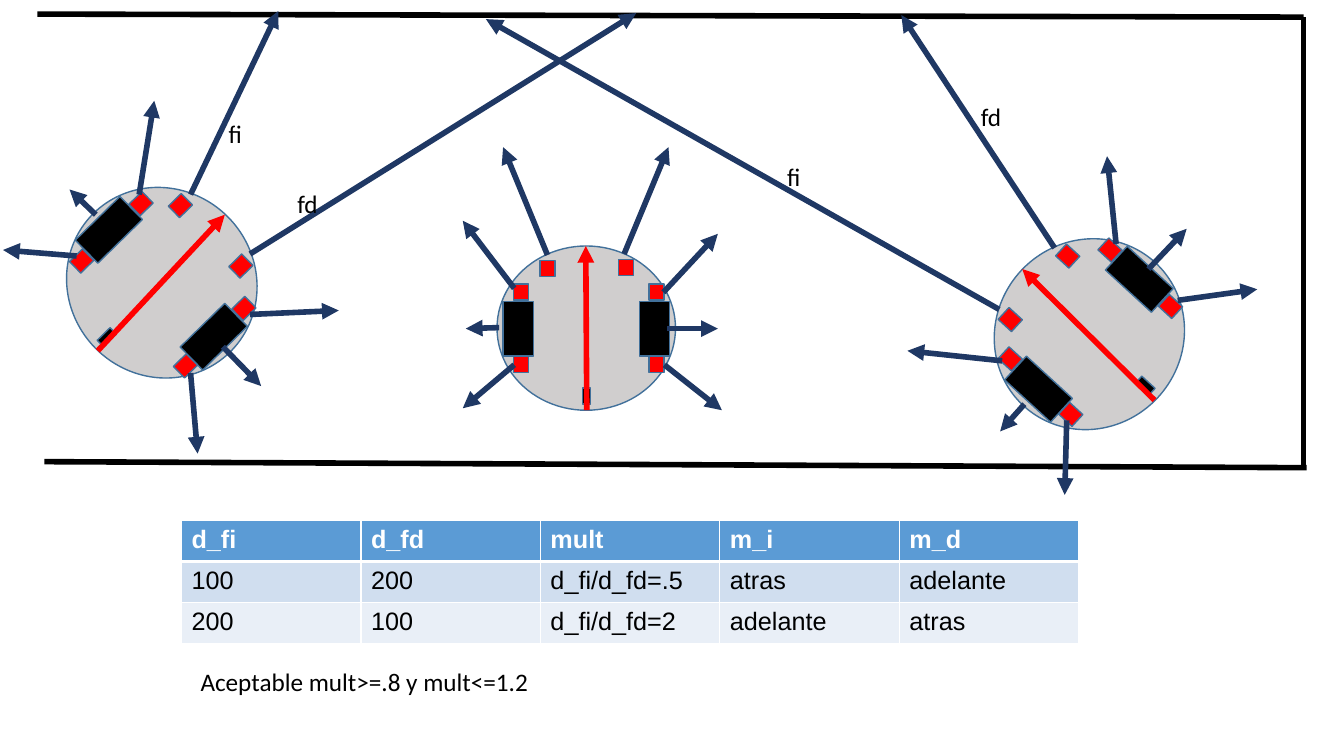
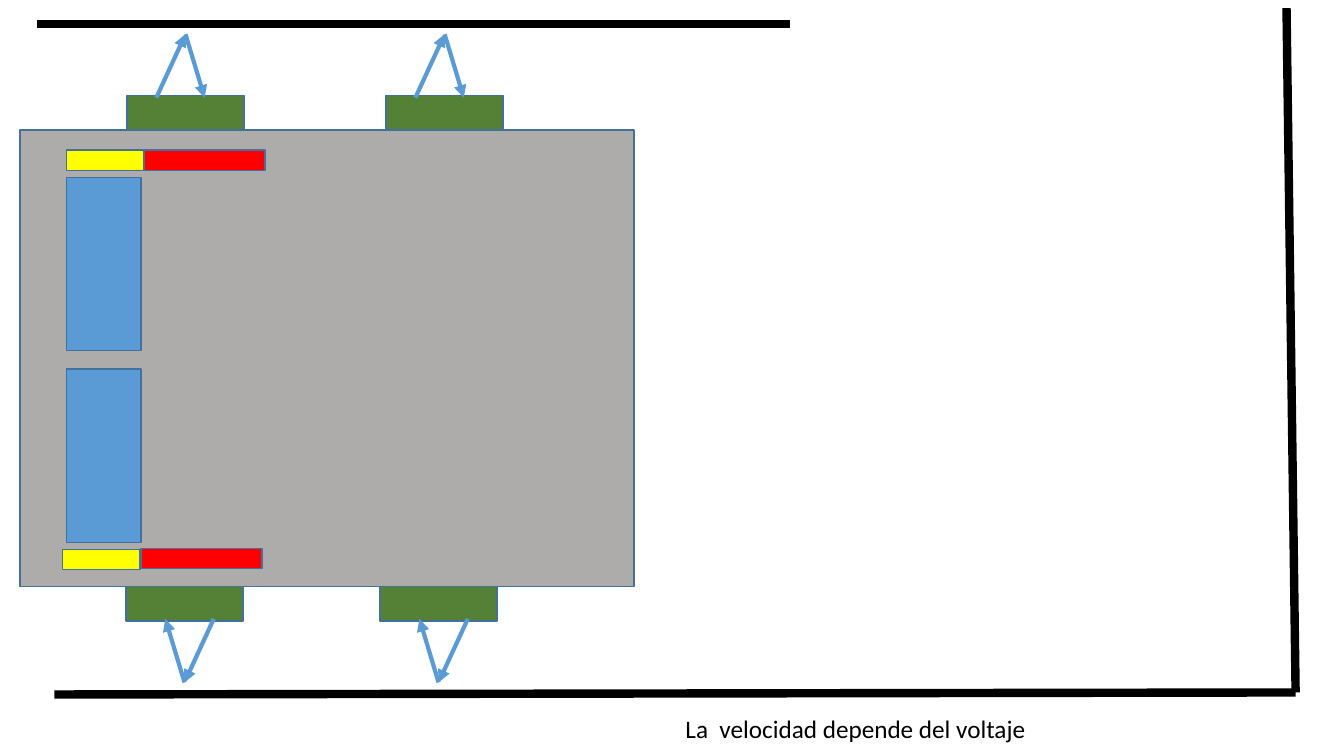
"""Builds two slides: wall-sensing robots with a decision table, and a vehicle between walls."""
from lxml import etree
from pptx import Presentation
from pptx.dml.color import RGBColor
from pptx.enum.shapes import MSO_CONNECTOR, MSO_SHAPE
from pptx.enum.text import MSO_AUTO_SIZE
from pptx.oxml.ns import qn
from pptx.util import Inches, Pt

RECTANGLE, OVAL = MSO_SHAPE.RECTANGLE, MSO_SHAPE.OVAL
STRAIGHT = MSO_CONNECTOR.STRAIGHT
FIT_TEXT = MSO_AUTO_SIZE.SHAPE_TO_FIT_TEXT
color = RGBColor.from_string

BLACK, WHITE, RED, YELLOW = "000000", "FFFFFF", "FF0000", "FFFF00"
BLUE, NAVY, OUTLINE, GREEN = "5B9BD5", "1F3864", "42719B", "548135"
LIGHT_GRAY, GRAY = "D0CECE", "AEABAB"


def draw_shape(page, kind, position, size, fill, rotation=0):
    shape = page.shapes.add_shape(kind, *map(Inches, (*position, *size)))
    shape.rotation = rotation
    shape.shadow.inherit = False
    shape.fill.solid()
    shape.fill.fore_color.rgb = color(fill)
    shape.line.color.rgb = color(OUTLINE)
    shape.line.width = Pt(1)


def draw_line(page, start, end, stroke, width, arrow=False):
    line = page.shapes.add_connector(STRAIGHT, *map(Inches, (*start, *end)))
    line.line.color.rgb = color(stroke)
    line.line.width = Pt(width)
    if arrow:
        etree.SubElement(line.line._get_or_add_ln(), qn("a:tailEnd"), type="triangle")
    etree.SubElement(line._element.spPr, qn("a:effectLst"))


deck = Presentation()
deck.slide_width, deck.slide_height = Inches(13.33), Inches(7.5)
blank_layout = deck.slide_layouts[6]
robot_page = deck.slides.add_slide(blank_layout)
vehicle_page = deck.slides.add_slide(blank_layout)

robot_walls = [
    ((0.37, 0.14), (12.93, 0.17)),
    ((0.44, 4.58), (12.96, 4.64)),
    ((12.93, 0.17), (12.93, 4.62)),
]
for start, end in robot_walls:
    draw_line(robot_page, start, end, BLACK, 4)

large = {"body": (1.85, 1.93), "wheel": (0.62, 0.32), "caster": (0.18, 0.09), "sensor": (0.18, 0.16)}
small = {"body": (1.63, 1.77), "wheel": (0.54, 0.3), "caster": (0.16, 0.08), "sensor": (0.16, 0.15)}
part_styles = {
    "body": (OVAL, LIGHT_GRAY),
    "wheel": (RECTANGLE, BLACK),
    "caster": (RECTANGLE, BLACK),
    "sensor": (RECTANGLE, RED),
}
robots = [
    {
        "rotation": 315.6,
        "sizes": large,
        "body": [(0.68, 1.84)],
        "wheel": [(0.77, 2.12), (1.81, 3.18)],
        "caster": [(0.97, 3.3)],
        "sensor": [(0.72, 2.51), (1.31, 1.94), (1.75, 3.55), (2.33, 2.98), (2.3, 2.56), (1.7, 1.96)],
        "heading": ((0.97, 3.48), (2.23, 2.13)),
        "beams": [
            ((0.95, 2.13), (0.69, 1.88)),
            ((1.89, 1.93), (2.76, 0.11)),
            ((2.21, 3.44), (2.59, 3.83)),
            ((2.48, 2.52), (6.31, 0.13)),
            ((1.38, 1.93), (1.53, 1)),
            ((0.76, 2.54), (0.03, 2.48)),
            ((2.48, 3.12), (3.36, 3.08)),
            ((1.89, 3.7), (1.96, 4.5)),
        ],
    },
    {
        "rotation": 270,
        "sizes": small,
        "body": [(5, 2.37)],
        "wheel": [(4.87, 3.11), (6.22, 3.11)],
        "caster": [(5.74, 3.89)],
        "sensor": [(5.09, 3.54), (5.09, 2.82), (6.43, 3.54), (6.43, 2.82), (6.13, 2.58), (5.35, 2.59)],
        "heading": ((5.82, 4.07), (5.81, 2.44)),
        "beams": [
            ((4.95, 3.25), (4.62, 3.26)),
            ((5.43, 2.53), (4.99, 1.46)),
            ((6.62, 3.26), (7.12, 3.26)),
            ((6.19, 2.52), (6.63, 1.46)),
            ((5.1, 2.86), (4.59, 2.19)),
            ((5.1, 3.62), (4.59, 4.05)),
            ((6.58, 2.9), (7.12, 2.32)),
            ((6.59, 3.62), (7.16, 4.07)),
        ],
    },
    {
        "rotation": 222.6,
        "sizes": large,
        "body": [(9.88, 2.35)],
        "wheel": [(9.99, 3.7), (10.99, 2.61)],
        "caster": [(11.27, 3.78)],
        "sensor": [(10.53, 4.03), (9.93, 3.48), (11.52, 2.96), (10.92, 2.4), (10.5, 2.46), (9.93, 3.09)],
        "heading": ((11.45, 3.97), (10.14, 2.67)),
        "beams": [
            ((10.16, 4.01), (9.92, 4.28)),
            ((9.91, 3.07), (4.82, 0.19)),
            ((11.39, 2.67), (11.77, 2.27)),
            ((10.46, 2.46), (8.94, 0.15)),
            ((9.94, 3.58), (9, 3.48)),
            ((10.58, 4.17), (10.56, 4.91)),
            ((11.07, 2.42), (10.98, 1.55)),
            ((11.68, 2.98), (12.47, 2.87)),
        ],
    },
]
for robot in robots:
    for part, (kind, fill) in part_styles.items():
        for position in robot[part]:
            draw_shape(robot_page, kind, position, robot["sizes"][part], fill, robot["rotation"])
    for start, end in robot["beams"]:
        draw_line(robot_page, start, end, NAVY, 4, arrow=True)
    draw_line(robot_page, *robot["heading"], RED, 4, arrow=True)

decision_rows = [
    ["d_fi", "d_fd", "mult", "m_i", "m_d"],
    ["100", "200", "d_fi/d_fd=.5", "atras", "adelante"],
    ["200", "100", "d_fi/d_fd=2", "adelante", "atras"],
]
row_fills = [BLUE, "D0DEEF", "E9EFF7"]
column_width, row_height = 1.78, 0.41
table = robot_page.shapes.add_table(
    len(decision_rows), len(decision_rows[0]), Inches(1.8), Inches(5.16),
    Inches(column_width * len(decision_rows[0])), Inches(row_height * len(decision_rows)),
).table
for row_index, (texts, fill) in enumerate(zip(decision_rows, row_fills)):
    is_header = row_index == 0
    edge_widths = {
        "a:lnL": 1,
        "a:lnR": 1,
        "a:lnT": 3 if row_index == 1 else 1,
        "a:lnB": 3 if is_header else 1,
    }
    for column_index, text in enumerate(texts):
        cell = table.cell(row_index, column_index)
        cell_properties = cell._tc.get_or_add_tcPr()
        for edge, width in edge_widths.items():
            border = etree.SubElement(cell_properties, qn(edge), w=str(Pt(width)))
            border_fill = etree.SubElement(border, qn("a:solidFill"))
            etree.SubElement(border_fill, qn("a:srgbClr"), val=WHITE)
        cell.fill.solid()
        cell.fill.fore_color.rgb = color(fill)
        span = cell.text_frame.paragraphs[0].add_run()
        span.text = text
        for name, value in {"name": "Arial", "size": Pt(18), "bold": is_header}.items():
            setattr(span.font, name, value)
        span.font.color.rgb = color(WHITE if is_header else BLACK)

draw_shape(vehicle_page, RECTANGLE, (0.2, 1.29), (6.09, 4.53), GRAY)
wheel_size, yellow_size, red_size = (0.74, 1.72), (0.77, 0.2), (1.2, 0.2)
vehicle_parts = [
    ((0.66, 1.76), wheel_size, BLUE),
    ((0.66, 1.49), yellow_size, YELLOW),
    ((1.43, 1.49), red_size, RED),
    ((0.66, 3.66), wheel_size, BLUE),
    ((0.62, 5.45), yellow_size, YELLOW),
    ((1.4, 5.44), red_size, RED),
]
for position, size, fill in vehicle_parts:
    draw_shape(vehicle_page, RECTANGLE, position, size, fill)

sensor_width, sensor_height = 1.16, 0.34
echo_offsets = [(0.29, 0.02), (0.58, -0.61), (0.77, 0.02)]
vehicle_sensors = [(1.26, 0.95, False), (1.25, 5.82, True), (3.83, 0.95, False), (3.77, 5.82, True)]
for left, top, faces_down in vehicle_sensors:
    draw_shape(vehicle_page, RECTANGLE, (left, top), (sensor_width, sensor_height), GREEN)
    points = [
        (left + sensor_width - across, top + sensor_height - down) if faces_down
        else (left + across, top + down)
        for across, down in echo_offsets
    ]
    for start, end in zip(points, points[1:]):
        draw_line(vehicle_page, start, end, BLUE, 3, arrow=True)

vehicle_walls = [
    ((0.37, 0.24), (7.84, 0.24)),
    ((12.85, 6.87), (0.54, 6.89)),
    ((12.76, 0.08), (12.85, 6.87)),
]
for start, end in vehicle_walls:
    draw_line(vehicle_page, start, end, BLACK, 6)

labels = [
    (robot_page, "fi", 2.17, 1.12, 0.34),
    (robot_page, "fd", 2.85, 1.82, 0.41),
    (robot_page, "fi", 7.71, 1.55, 0.34),
    (robot_page, "fd", 9.63, 0.96, 0.41),
    (robot_page, "Aceptable mult>=.8 y mult<=1.2", 1.89, 6.56, 3.49),
    (vehicle_page, "La  velocidad depende del voltaje", 6.7, 7.03, 3.62),
]
for page, text, left, top, width in labels:
    box = page.shapes.add_textbox(*map(Inches, (left, top, width, 0.4)))
    for name, value in {"word_wrap": False, "auto_size": FIT_TEXT}.items():
        setattr(box.text_frame, name, value)
    span = box.text_frame.paragraphs[0].add_run()
    span.text = text
    for name, value in {"name": "Calibri", "size": Pt(18)}.items():
        setattr(span.font, name, value)
    span.font.color.rgb = color(BLACK)

deck.save("out.pptx")
